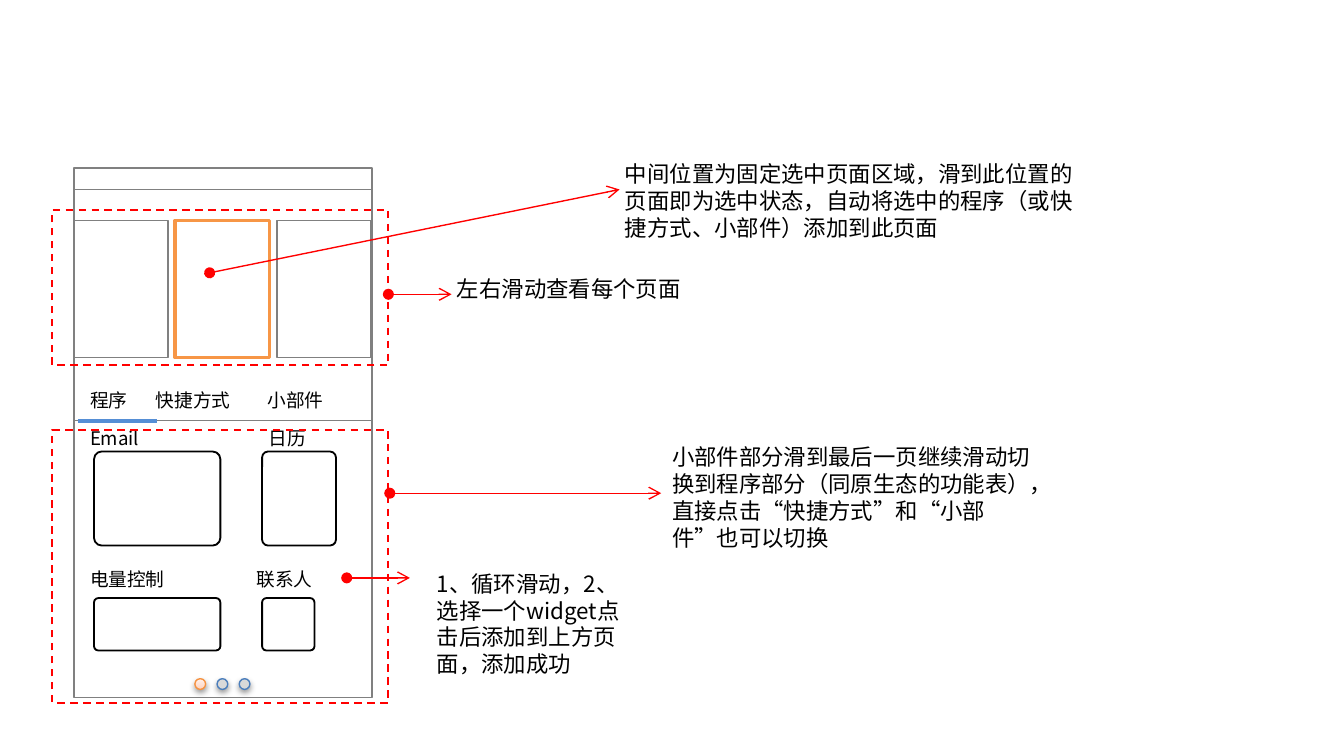
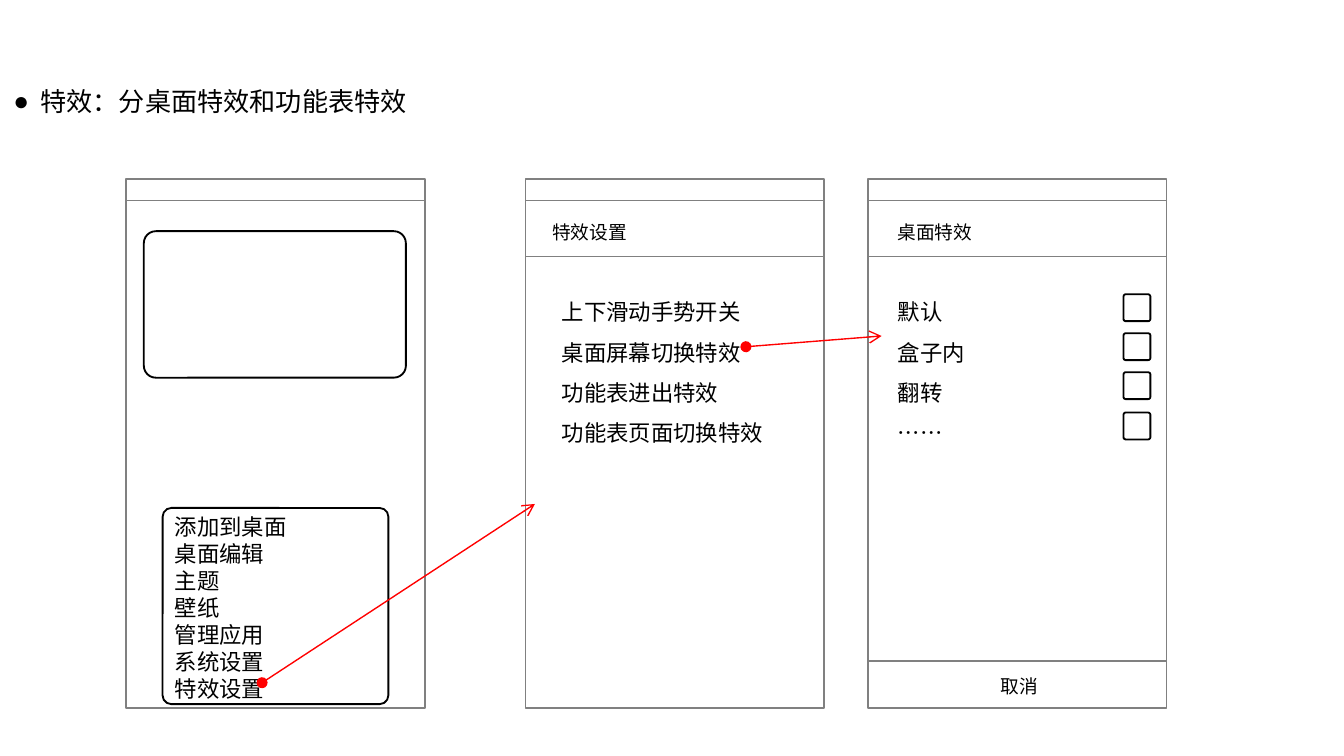
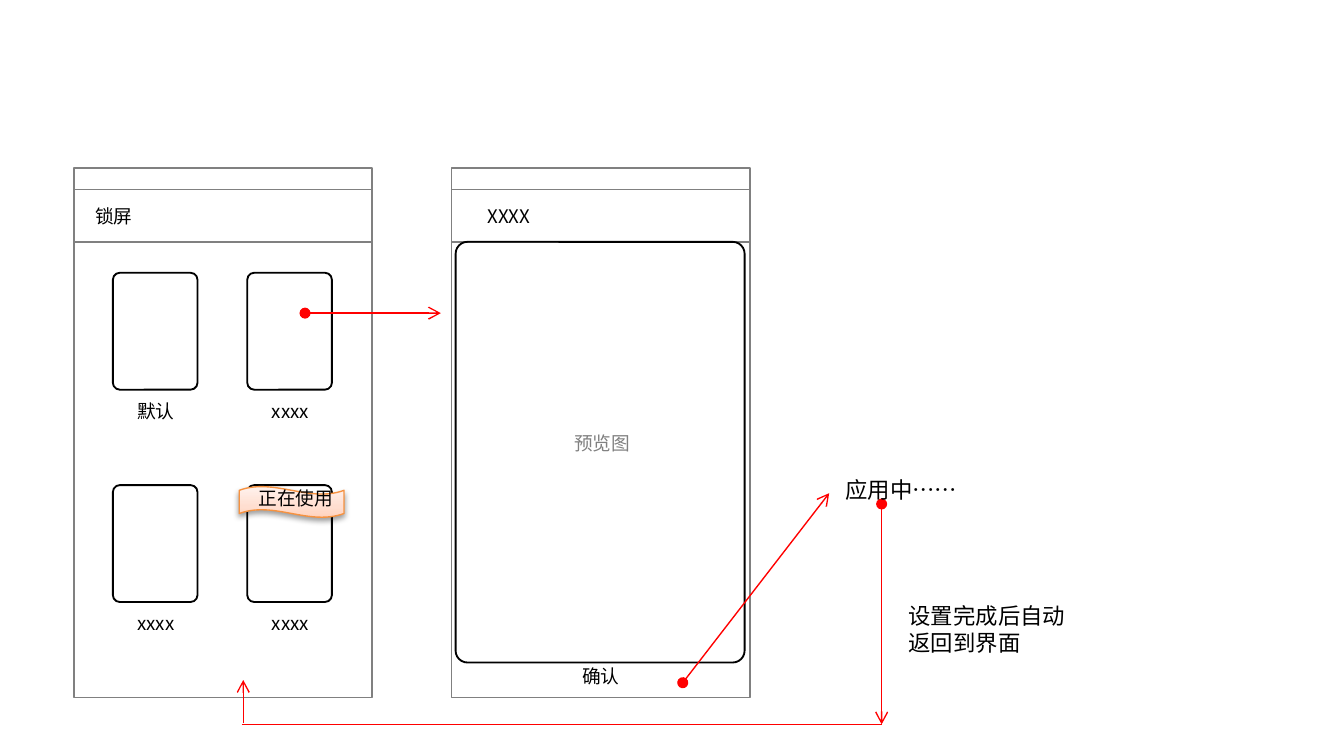
from dataclasses import dataclass

from lxml import etree
from pptx import Presentation
from pptx.dml.color import RGBColor
from pptx.enum.dml import MSO_LINE
from pptx.enum.shapes import MSO_CONNECTOR, MSO_SHAPE
from pptx.enum.text import MSO_AUTO_SIZE, PP_ALIGN
from pptx.oxml import parse_xml
from pptx.oxml.ns import nsdecls, qn
from pptx.util import Inches, Pt

RECT, ROUND = MSO_SHAPE.RECTANGLE, MSO_SHAPE.ROUNDED_RECTANGLE
OVAL, WAVE = MSO_SHAPE.OVAL, MSO_SHAPE.WAVE
STRAIGHT, DASH = MSO_CONNECTOR.STRAIGHT, MSO_LINE.DASH
LEFT, CENTER = PP_ALIGN.LEFT, PP_ALIGN.CENTER
FIT = MSO_AUTO_SIZE.SHAPE_TO_FIT_TEXT


@dataclass(frozen=True)
class Theme:
    font: str = "Noto Sans CJK SC"
    ink: str = "000000"
    gray: str = "808080"
    red: str = "FF0000"
    orange: str = "F79646"
    tab_blue: str = "558ED5"
    dot_blue: str = "4B7EBC"
    dot_fill: str = "D9D9D9"
    warm_line: str = "F69240"
    warm_stops: tuple = ((0, "FFD2BD"), (35, "FFDED0"), (100, "FFF2ED"))
    label: int = 10
    note: int = 12
    heading: int = 14


THEME = Theme()

# Shared phone frame: size and distance of its rules from the top
PHONE_WIDTH, PHONE_HEIGHT = 2.22, 3.94
STATUS_RULE, LOCK_RULE, TITLE_RULE, TAB_RULE, FOOTER_RULE = 0.16, 0.55, 0.58, 1.88, 3.59
LABEL_HEIGHT = 0.37

# Slide 1: adding widgets. Texts are (text, left, top, width, height)
TABS = "程序\t快捷方式\t小部件"
TAB_STOPS = (0.49, 1.32)
WIDGETS = [  # name, label left, top, width, box left, top, width, height
    ("Email", 0.47, 3.09, 0.94, 0.70, 3.36, 0.94, 0.70),
    ("日历", 1.80, 3.09, 0.87, 1.95, 3.36, 0.55, 0.70),
    ("电量控制", 0.47, 4.14, 1.17, 0.70, 4.45, 0.94, 0.39),
    ("联系人", 1.71, 4.14, 1.17, 1.95, 4.45, 0.39, 0.39),
]
WIDGET_NOTES = [
    ("左右滑动查看每个页面", 3.2, 1.95, 2.11, 0.4),
    ("1、循环滑动，2、选择一个widget点击后添加到上方页面，添加成功",
     3.05, 4.14, 1.88, 1.01),
    ("小部件部分滑到最后一页继续滑动切换到程序部分（同原生态的功能表），"
     "直接点击“快捷方式”和“小部件”也可以切换", 4.8, 3.2, 3.09, 1.01),
    ("中间位置为固定选中页面区域，滑到此位置的页面即为选中状态，"
     "自动将选中的程序（或快捷方式、小部件）添加到此页面", 4.45, 1.09, 3.75, 0.81),
]
WIDGET_ZONES = [(0.39, 1.56, 2.5, 1.16), (0.39, 3.2, 2.5, 2.03)]
WIDGET_ARROWS = [
    (2.89, 2.19, 3.36, 2.19), (2.58, 4.3, 3.05, 4.3),
    (2.9, 3.67, 4.92, 3.67), (1.56, 2.03, 4.61, 1.41),
]

# Slide 2: effects
EFFECTS_HEADING = "特效：分桌面特效和功能表特效"
EFFECTS_LABELS = [
    ("桌面特效", 6.48, 1.56, 1.41, LEFT),
    ("取消", 6.88, 4.94, 1.41, CENTER),
    ("特效设置", 3.91, 1.56, 1.41, LEFT),
]
DESKTOP_MENU = ["添加到桌面", "桌面编辑", "主题", "壁纸", "管理应用", "系统设置", "特效设置"]
EFFECT_LISTS = [  # items, left, width
    (["上下滑动手势开关", "桌面屏幕切换特效", "功能表进出特效", "功能表页面切换特效"], 3.98, 2.03),
    (["默认", "盒子内", "翻转", "……"], 6.48, 1.41),
]
CHECKBOX_TOPS = (2.19, 2.48, 2.77, 3.07)
EFFECT_ARROWS = [(5.55, 2.58, 6.56, 2.5), (1.95, 5.08, 3.98, 3.75)]

# Slide 3: lock screen
LOCK_TILES = [["默认", "xxxx"], ["xxxx", "xxxx"]]
LOCK_LABELS = [
    ("锁屏", 0.51, 1.44, 1.17, LEFT, THEME.ink),
    ("XXXX", 3.2, 1.44, 1.17, CENTER, THEME.ink),
    ("确认", 3.66, 4.86, 1.62, CENTER, THEME.ink),
    ("预览图", 3.67, 3.13, 1.62, CENTER, THEME.gray),
]
IN_USE = "正在使用"
LOCK_NOTES = [
    ("应用中……", 6.09, 3.44, 1.62, 0.4),
    ("设置完成后自动返回到界面", 6.56, 4.38, 1.62, 0.61),
]
LOCK_ARROWS = [
    (2.27, 2.33, 3.28, 2.33), (5.08, 5.08, 6.17, 3.67), (6.56, 3.75, 6.56, 5.39),
]


# Drawing helpers
def color(value):
    return RGBColor.from_string(value)


def inches(*values):
    return [Inches(value) for value in values]


def add_box(page, kind, area, line, width=1, fill=None, dash=None, corner=None):
    box = page.shapes.add_shape(kind, *inches(*area))
    box.shadow.inherit = False
    if fill:
        box.fill.solid()
        box.fill.fore_color.rgb = color(fill)
    else:
        box.fill.background()
    box.line.color.rgb = color(line)
    box.line.width = Pt(width)
    if dash:
        box.line.dash_style = dash
    if corner is not None:
        box.adjustments[0] = corner
    return box


def add_round(page, area, corner=0.082):
    return add_box(page, ROUND, area, THEME.ink, corner=corner)


def add_shadow(box):
    effects = box._element.spPr.find(qn("a:effectLst"))
    effects.append(parse_xml(
        f'<a:outerShdw {nsdecls("a")} blurRad="{Pt(3.1)}" dist="{Pt(1.6)}" dir="5400000" '
        'rotWithShape="0"><a:srgbClr val="000000"><a:alpha val="38000"/></a:srgbClr>'
        '</a:outerShdw>'))


def add_warm_fill(box):
    properties = box._element.spPr
    properties.remove(properties.find(qn("a:noFill")))
    stops = "".join(f'<a:gs pos="{place * 1000}"><a:srgbClr val="{value}"/></a:gs>'
                    for place, value in THEME.warm_stops)
    properties.find(qn("a:prstGeom")).addnext(parse_xml(
        f'<a:gradFill {nsdecls("a")}><a:gsLst>{stops}</a:gsLst>'
        '<a:lin ang="16200000" scaled="0"/></a:gradFill>'))


def add_line(page, ends, line, width=0.75, head=None, tail=None):
    connector = page.shapes.add_connector(STRAIGHT, *inches(*ends))
    connector.line.color.rgb = color(line)
    connector.line.width = Pt(width)
    outline = connector._element.spPr.find(qn("a:ln"))
    for tag, kind in (("a:headEnd", head), ("a:tailEnd", tail)):
        if kind:
            etree.SubElement(outline, qn(tag), type=kind)
    etree.SubElement(connector._element.spPr, qn("a:effectLst"))


def add_arrows(page, arrows):
    for ends in arrows:
        add_line(page, ends, THEME.red, head="oval", tail="arrow")


def style_paragraph(para, size, ink=THEME.ink, align=LEFT, spacing=None):
    para.alignment = align
    if spacing:
        para.line_spacing = spacing
    para.font.name = THEME.font
    para.font.size = Pt(size)
    para.font.color.rgb = color(ink)
    defaults = para._p.pPr.find(qn("a:defRPr"))
    etree.SubElement(defaults, qn("a:ea"), typeface=THEME.font)


def add_text(page, text, area, size, ink=THEME.ink, align=LEFT, spacing=None, tabs=()):
    box = page.shapes.add_textbox(*inches(*area))
    frame = box.text_frame
    frame.word_wrap = True
    frame.auto_size = FIT
    frame.margin_left = frame.margin_right = Inches(0.2)
    frame.margin_top = frame.margin_bottom = Inches(0.1)
    frame.text = text
    for para in frame.paragraphs:
        if tabs:
            stops = etree.SubElement(para._p.get_or_add_pPr(), qn("a:tabLst"))
            for stop in tabs:
                etree.SubElement(stops, qn("a:tab"), pos=str(Inches(stop)), algn="l")
        style_paragraph(para, size, ink, align, spacing)
    return box


def add_label(page, text, left, top, width, align=LEFT, ink=THEME.ink, tabs=()):
    add_text(page, text, (left, top, width, LABEL_HEIGHT), THEME.label, ink, align, tabs=tabs)


def add_notes(page, notes):
    for text, *area in notes:
        add_text(page, text, area, THEME.note)


def add_phone(page, left, top, *rules):
    add_box(page, RECT, (left, top, PHONE_WIDTH, PHONE_HEIGHT), THEME.gray)
    for offset in (STATUS_RULE, *rules):
        add_line(page, (left, top + offset, left + PHONE_WIDTH, top + offset), THEME.gray)


# Slides
def build_widgets(deck):
    page = deck.slides.add_slide(deck.slide_layouts[6])
    add_phone(page, 0.55, 1.25, TAB_RULE)
    add_label(page, TABS, 0.47, 2.81, 2.34, tabs=TAB_STOPS)
    add_line(page, (0.58, 3.13, 1.17, 3.13), THEME.tab_blue, 2.25)
    for name, left, top, width, *area in WIDGETS:
        add_round(page, area)
        add_label(page, name, left, top, width)

    # Page dots, the first one current
    dots = []
    for index in range(3):
        area = (1.45 + 0.33 * index / 2, 5.05, 0.08, 0.08)
        if index == 0:
            dot = add_box(page, OVAL, area, THEME.warm_line, 0.75)
            add_warm_fill(dot)
        else:
            dot = add_box(page, OVAL, area, THEME.dot_blue, 0.75, THEME.dot_fill)
        add_shadow(dot)
        dots.append(dot)
    page.shapes.add_group_shape(dots)

    for area in WIDGET_ZONES:
        add_box(page, RECT, area, THEME.red, dash=DASH)

    # Page previews, the middle one selected
    previews = []
    for index in range(3):
        area = (0.55 + 1.51 * index / 2, 1.64, 0.7, 1.02)
        style = (THEME.orange, 2, "FFFFFF") if index == 1 else (THEME.gray,)
        previews.append(add_box(page, RECT, area, *style))
    page.shapes.add_group_shape(previews)
    add_arrows(page, WIDGET_ARROWS)
    add_notes(page, WIDGET_NOTES)


def build_effects(deck):
    page = deck.slides.add_slide(deck.slide_layouts[1])
    title = page.shapes.title
    title._element.getparent().remove(title._element)

    # Bulleted heading
    body = page.placeholders[1]
    body.left, body.top, body.width, body.height = inches(0, 0.47, 9.38, 0.41)
    body.text_frame.auto_size = FIT
    body.text_frame.text = EFFECTS_HEADING
    para = body.text_frame.paragraphs[0]
    para.space_before = Pt(0)
    properties = para._p.get_or_add_pPr()
    properties.set("marL", str(Inches(0.2)))
    properties.set("indent", str(Inches(-0.2)))
    etree.SubElement(properties, qn("a:buChar"), char="●")
    style_paragraph(para, THEME.heading, spacing=1.5)

    # Three phones
    add_phone(page, 0.94, 1.33)
    add_phone(page, 3.91, 1.33, TITLE_RULE)
    add_phone(page, 6.46, 1.33, TITLE_RULE, FOOTER_RULE)
    add_round(page, (1.07, 1.72, 1.95, 1.09))
    for label in EFFECTS_LABELS:
        add_label(page, *label)
    for items, left, width in EFFECT_LISTS:
        add_text(page, "\n".join(items), (left, 2.02, width, 1.41), THEME.note, spacing=1.5)
    for top in CHECKBOX_TOPS:
        add_round(page, (8.36, top, 0.2, 0.2))

    # Desktop menu
    frame = add_round(page, (1.21, 3.78, 1.68, 1.46), 0.045)
    menu = add_text(page, "\n".join(DESKTOP_MENU), (1.1, 3.72, 1.8, 1.62), THEME.note)
    page.shapes.add_group_shape([frame, menu])
    add_arrows(page, EFFECT_ARROWS)


def build_lock_screen(deck):
    page = deck.slides.add_slide(deck.slide_layouts[6])
    for left in (0.55, 3.36):
        add_phone(page, left, 1.25, LOCK_RULE)
    add_round(page, (3.39, 1.8, 2.15, 3.13), 0.041)
    for label in LOCK_LABELS:
        add_label(page, *label)

    # Lock screen tiles with captions centred below
    for row, names in enumerate(LOCK_TILES):
        for column, name in enumerate(names):
            left, top = 0.84 + column, 2.03 + 1.58 * row
            add_round(page, (left, top, 0.63, 0.87))
            add_label(page, name, left - 0.17, top + 0.86, 0.98, CENTER)

    # Ribbon on the tile in use
    ribbon = add_box(page, WAVE, (1.78, 3.62, 0.78, 0.23), THEME.warm_line, 0.75)
    add_warm_fill(ribbon)
    add_shadow(ribbon)
    add_label(page, IN_USE, 1.69, 3.54, 1.02, CENTER)

    # Flow to the applied state and back
    add_arrows(page, LOCK_ARROWS)
    add_line(page, (1.8, 5.39, 6.56, 5.39), THEME.red)
    add_line(page, (1.81, 5.38, 1.81, 5.06), THEME.red, tail="arrow")
    add_notes(page, LOCK_NOTES)


def main():
    deck = Presentation()
    deck.slide_width = Inches(10)
    deck.slide_height = deck.slide_width * 9 // 16
    build_widgets(deck)
    build_effects(deck)
    build_lock_screen(deck)
    deck.save("out.pptx")


if __name__ == "__main__":
    main()
